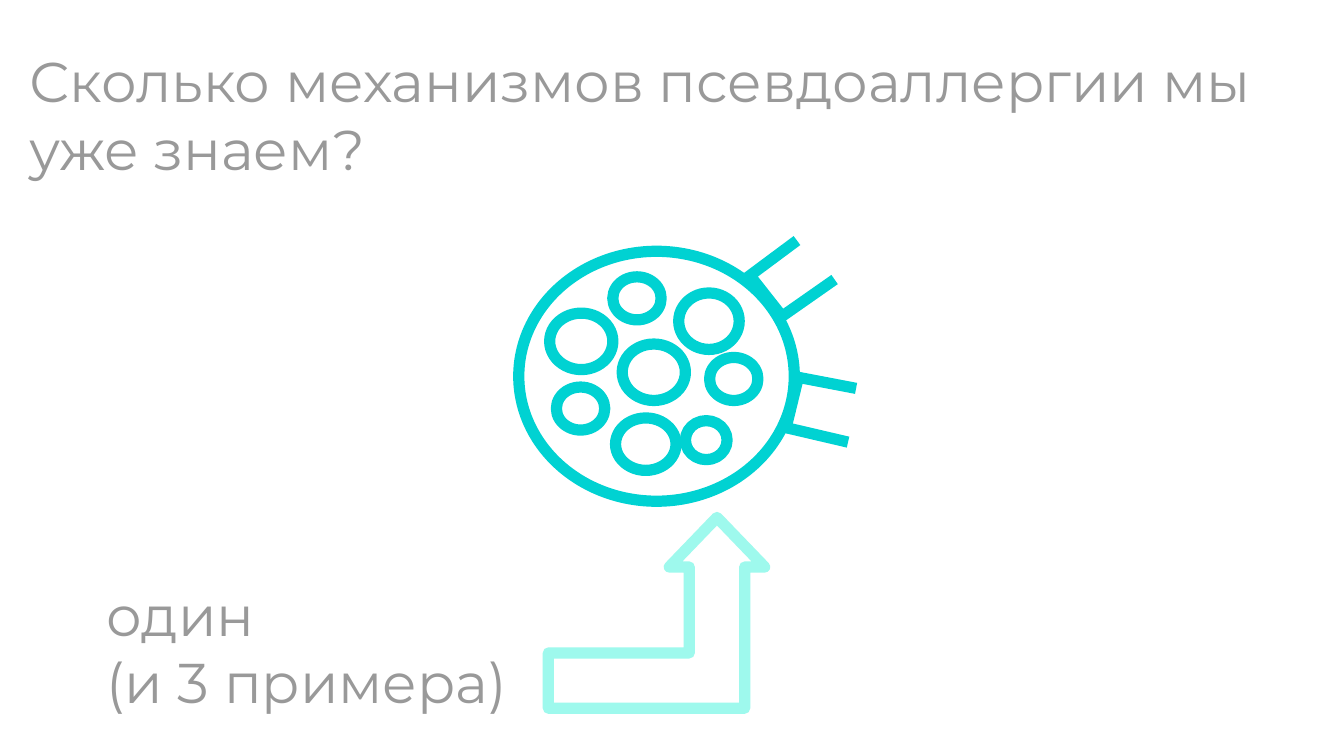
from dataclasses import dataclass

from lxml.etree import SubElement
from pptx import Presentation
from pptx.dml.color import RGBColor
from pptx.enum.shapes import MSO_CONNECTOR, MSO_SHAPE
from pptx.enum.text import MSO_ANCHOR, MSO_AUTO_SIZE, PP_ALIGN
from pptx.oxml.ns import qn
from pptx.util import Emu, Pt

PX = 9144
SLIDE_WIDTH = Emu(1000 * PX)
SLIDE_HEIGHT = Emu(SLIDE_WIDTH * 9 // 16)
GREY = RGBColor(0x99, 0x99, 0x99)
TEAL = RGBColor(0x00, 0xD2, 0xD2)
MINT = RGBColor(0x9E, 0xF9, 0xED)
WHITE = RGBColor(0xFF, 0xFF, 0xFF)
STROKE = Pt(6)

INSET = Emu(10 * PX)
FRAME_FORMAT = {
    "word_wrap": True, "auto_size": MSO_AUTO_SIZE.NONE, "vertical_anchor": MSO_ANCHOR.BOTTOM,
    "margin_left": INSET, "margin_top": INSET, "margin_right": INSET, "margin_bottom": INSET,
}
PARAGRAPH_FORMAT = {
    "alignment": PP_ALIGN.LEFT, "line_spacing": 1.0, "space_before": Pt(0), "space_after": Pt(0),
}
FONT_FORMAT = {"name": "Montserrat", "size": Pt(30), "bold": False}


@dataclass(frozen=True)
class Box:
    """A rectangle in px."""
    left: int
    top: int
    width: int
    height: int

    def emu(self) -> list[Emu]:
        """Return left, top, width and height in EMU."""
        return [px(v) for v in (self.left, self.top, self.width, self.height)]


@dataclass(frozen=True)
class Segment:
    """A straight line in px."""
    x1: int
    y1: int
    x2: int
    y2: int


MEMBRANE = Box(386, 187, 205, 186)
GRANULES = [
    Box(456, 206, 36, 32), Box(463, 256, 47, 42), Box(505, 218, 45, 42), Box(528, 266, 36, 32),
    Box(510, 313, 31, 29), Box(458, 311, 45, 39), Box(409, 233, 47, 42), Box(414, 288, 36, 32),
]
RECEPTORS = [
    Segment(558, 205, 584, 238), Segment(554, 208, 593, 179), Segment(581, 236, 621, 208),
    Segment(594, 281, 584, 322), Segment(590, 280, 637, 289), Segment(584, 318, 631, 329),
]
POINTER = Box(408, 385, 161, 142)


def px(length: int) -> Emu:
    """Turn px into EMU."""
    return Emu(length * PX)


def apply_format(target, values: dict) -> None:
    """Set every named attribute on the target."""
    for name, value in values.items():
        setattr(target, name, value)


def write_text(placeholder, box: Box, lines: list[str]) -> None:
    """Move a placeholder and fill it with formatted lines."""
    apply_format(placeholder, dict(zip(("left", "top", "width", "height"), box.emu())))
    frame = placeholder.text_frame
    frame.text = "\n".join(lines)
    apply_format(frame, FRAME_FORMAT)
    for paragraph in frame.paragraphs:
        apply_format(paragraph, PARAGRAPH_FORMAT)
        for run in paragraph.runs:
            apply_format(run.font, FONT_FORMAT)
            run.font.color.rgb = GREY


def draw_outline(slide, preset: MSO_SHAPE, box: Box, color: RGBColor):
    """Draw a white preset shape with a thick outline."""
    outline = slide.shapes.add_shape(preset, *box.emu())
    outline.shadow.inherit = False
    outline.fill.solid()
    outline.fill.fore_color.rgb = WHITE
    outline.line.color.rgb = color
    outline.line.width = STROKE
    return outline


def draw_receptor(slide, segment: Segment) -> None:
    """Draw one straight part of a receptor."""
    ends = [px(v) for v in (segment.x1, segment.y1, segment.x2, segment.y2)]
    receptor = slide.shapes.add_connector(MSO_CONNECTOR.STRAIGHT, *ends)
    receptor.line.color.rgb = TEAL
    receptor.line.width = STROKE
    SubElement(receptor._element.spPr, qn("a:effectLst"))


def draw_pointer(slide) -> None:
    """Draw the bent arrow with rounded corners."""
    pointer = draw_outline(slide, MSO_SHAPE.BENT_UP_ARROW, POINTER, MINT)
    for index, ratio in enumerate((0.29, 0.25, 0.26)):
        pointer.adjustments[index] = ratio
    SubElement(pointer._element.spPr.find(qn("a:ln")), qn("a:round"))


def main() -> None:
    """Build and save the slide."""
    deck = Presentation()
    deck.slide_width, deck.slide_height = SLIDE_WIDTH, SLIDE_HEIGHT
    slide = deck.slides.add_slide(deck.slide_layouts[0])
    question, answer = slide.placeholders
    write_text(question, Box(12, 17, 954, 128), ["Сколько механизмов псевдоаллергии мы уже знаем?"])
    for cell_part in [MEMBRANE, *GRANULES]:
        draw_outline(slide, MSO_SHAPE.OVAL, cell_part, TEAL)
    for segment in RECEPTORS:
        draw_receptor(slide, segment)
    draw_pointer(slide)
    write_text(answer, Box(69, 380, 954, 162), ["один", "(и 3 примера)"])
    deck.save("out.pptx")


if __name__ == "__main__":
    main()
